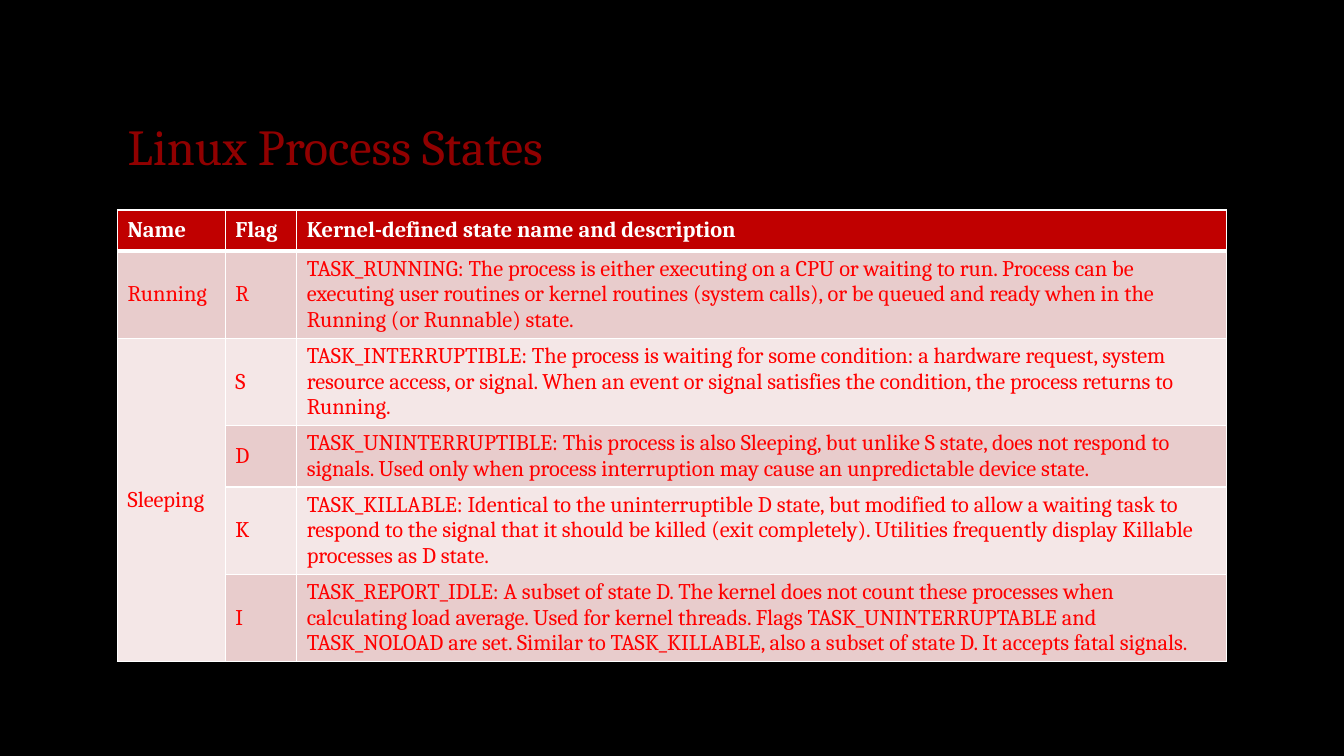
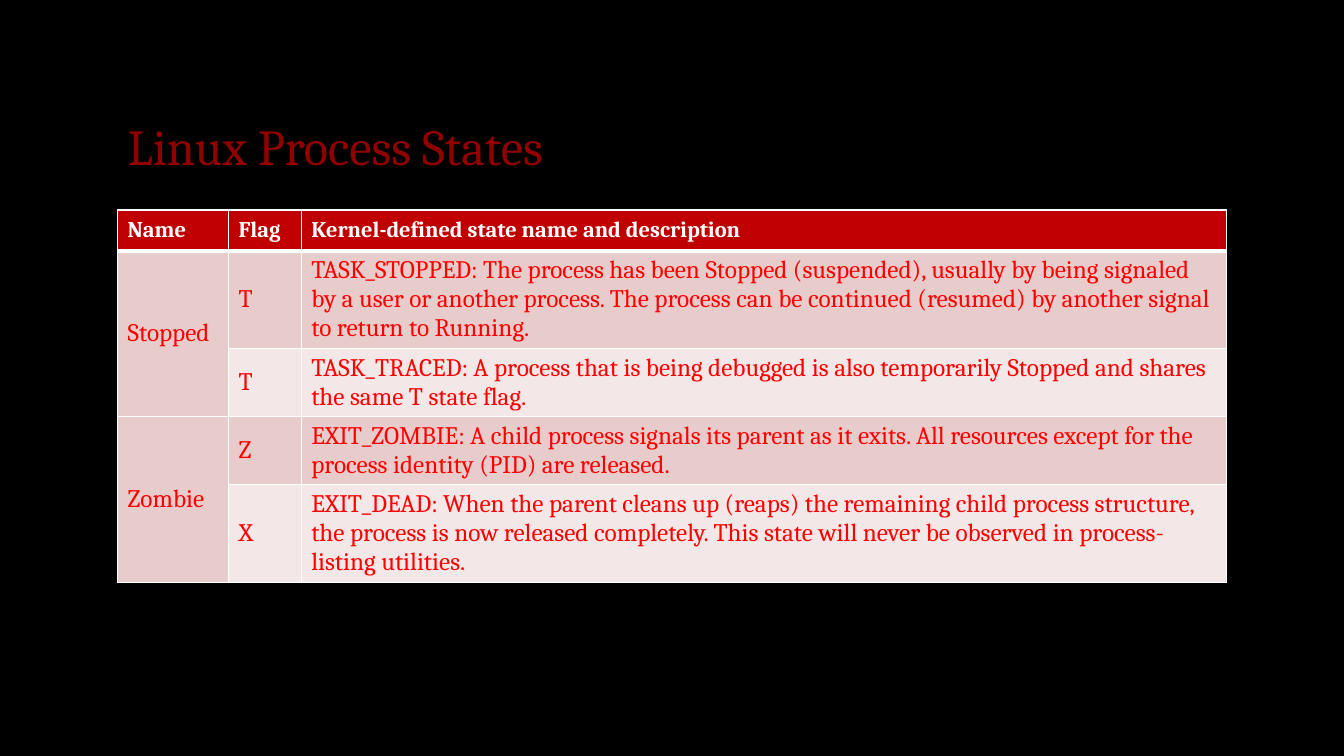
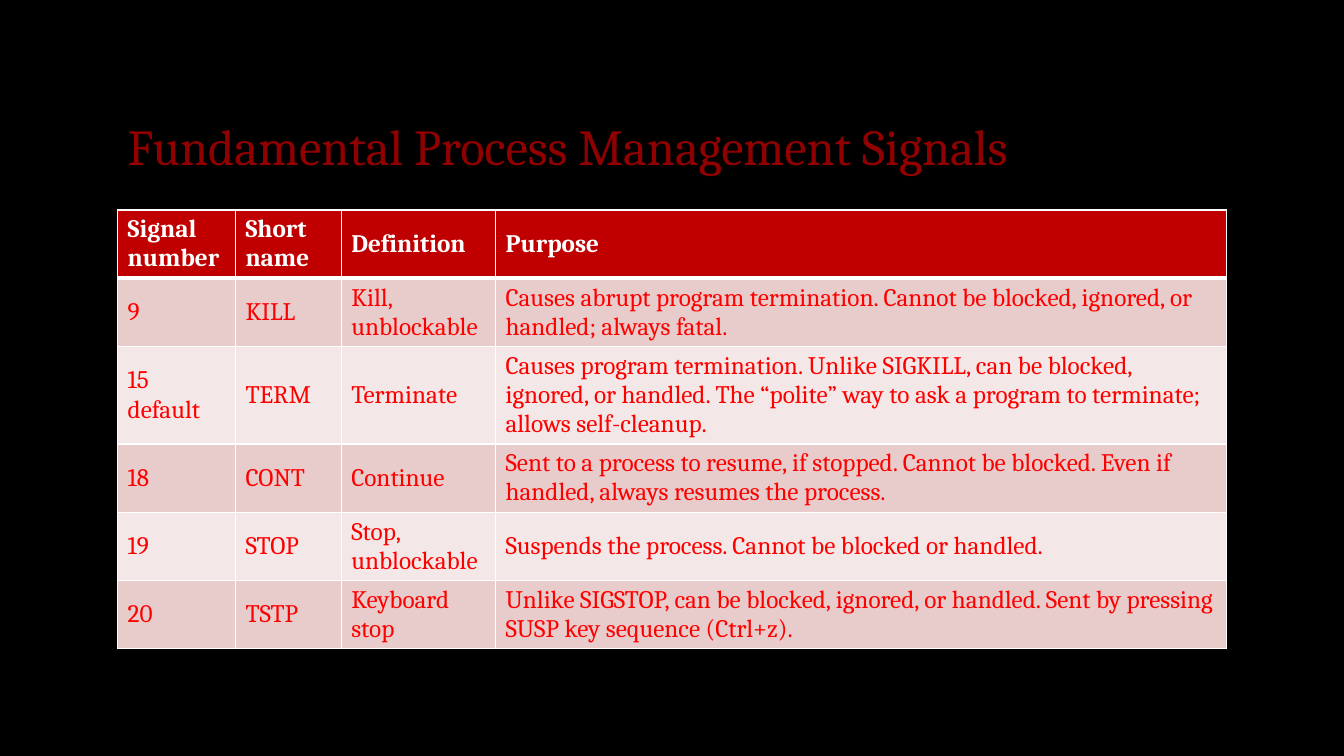
"""Build three slides of tables about Linux process states and signals."""
from dataclasses import dataclass
from typing import Any, Optional

from lxml.etree import SubElement
from pptx import Presentation
from pptx.dml.color import RGBColor
from pptx.enum.text import MSO_ANCHOR as Anchor, MSO_AUTO_SIZE as AutoSize, PP_ALIGN as Align
from pptx.oxml.ns import qn
from pptx.util import Pt

FONT = "Cambria"
BLACK, WHITE, RED = "000000", "FFFFFF", "FF0000"
TITLE_RED, HEADER_RED = "900000", "C00000"
BANDS = ("E8CCCC", "F4E7E7")
LEFT, WIDTH = 84, 792
TITLE_TOP, TITLE_HEIGHT = 36, 93.6
TABLE_TOP, ROW_HEIGHT = 150, 29.2
THIN, THICK = 1, 3
STATE_HEADER = ("Name", "Flag", "Kernel-defined state name and description")

Row = tuple[Optional[str], ...]


@dataclass(frozen=True)
class TablePage:
    """A titled table; None in a row continues the cell above."""

    title: str
    height: float
    columns: tuple[float, ...]
    header: Row
    rows: tuple[Row, ...]
    header_size: float = 18
    body_size: float = 18


PAGES = (
    TablePage(
        "Linux Process States", 353.5, (77, 51, 664), STATE_HEADER,
        (
            ("Running", "R", "TASK_RUNNING: The process is either executing on a CPU or waiting to run. "
             "Process can be executing user routines or kernel routines (system calls), or be queued "
             "and ready when in the Running (or Runnable) state."),
            ("Sleeping", "S", "TASK_INTERRUPTIBLE: The process is waiting for some condition: a hardware "
             "request, system resource access, or signal. When an event or signal satisfies the "
             "condition, the process returns to Running."),
            (None, "D", "TASK_UNINTERRUPTIBLE: This process is also Sleeping, but unlike S state, does not "
             "respond to signals. Used only when process interruption may cause an unpredictable "
             "device state."),
            (None, "K", "TASK_KILLABLE: Identical to the uninterruptible D state, but modified to allow a "
             "waiting task to respond to the signal that it should be killed (exit completely). "
             "Utilities frequently display Killable processes as D state."),
            (None, "I", "TASK_REPORT_IDLE: A subset of state D. The kernel does not count these processes "
             "when calculating load average. Used for kernel threads. Flags TASK_UNINTERRUPTABLE and "
             "TASK_NOLOAD are set. Similar to TASK_KILLABLE, also a subset of state D. It accepts "
             "fatal signals."),
        ),
        header_size=16, body_size=16,
    ),
    TablePage(
        "Linux Process States", 274.3, (79.2, 52, 660.8), STATE_HEADER,
        (
            ("Stopped", "T", "TASK_STOPPED: The process has been Stopped (suspended), usually by being "
             "signaled by a user or another process. The process can be continued (resumed) by "
             "another signal to return to Running."),
            (None, "T", "TASK_TRACED: A process that is being debugged is also temporarily Stopped and "
             "shares the same T state flag."),
            ("Zombie", "Z", "EXIT_ZOMBIE: A child process signals its parent as it exits. All resources "
             "except for the process identity (PID) are released."),
            (None, "X", "EXIT_DEAD: When the parent cleans up (reaps) the remaining child process "
             "structure, the process is now released completely. This state will never be observed "
             "in process-listing utilities."),
        ),
        header_size=16,
    ),
    TablePage(
        "Fundamental Process Management Signals", 324, (84.2, 75.6, 110.2, 522),
        ("Signal number", "Short name", "Definition", "Purpose"),
        (
            ("9", "KILL", "Kill, unblockable", "Causes abrupt program termination. Cannot be blocked, "
             "ignored, or handled; always fatal."),
            ("15 default", "TERM", "Terminate", "Causes program termination. Unlike SIGKILL, can be "
             "blocked, ignored, or handled. The “polite” way to ask a program to terminate; allows "
             "self-cleanup."),
            ("18", "CONT", "Continue", "Sent to a process to resume, if stopped. Cannot be blocked. Even "
             "if handled, always resumes the process."),
            ("19", "STOP", "Stop, unblockable", "Suspends the process. Cannot be blocked or handled."),
            ("20", "TSTP", "Keyboard stop", "Unlike SIGSTOP, can be blocked, ignored, or handled. Sent by "
             "pressing SUSP key sequence (Ctrl+z)."),
        ),
    ),
)


def colour(value: str) -> RGBColor:
    """Turn a hex string into a colour."""
    return RGBColor.from_string(value)


def apply(target: Any, values: dict[str, Any]) -> None:
    """Set each named attribute on the target."""
    for name, value in values.items():
        setattr(target, name, value)


def write(para: Any, text: str, size: float, ink: str, bold: bool = False) -> None:
    """Add one formatted run to a paragraph."""
    span = para.add_run()
    span.text = text
    apply(span.font, {"name": FONT, "size": Pt(size), "bold": bold})
    span.font.color.rgb = colour(ink)


def add_borders(cell: Any, top: float, bottom: float) -> None:
    """Draw white lines on the four sides of a cell."""
    properties = cell._tc.get_or_add_tcPr()
    for side, width in {"L": THIN, "R": THIN, "T": top, "B": bottom}.items():
        line = SubElement(properties, qn(f"a:ln{side}"), w=str(Pt(width)))
        SubElement(SubElement(line, qn("a:solidFill")), qn("a:srgbClr"), val=WHITE)


def add_title(page: Any, text: str) -> None:
    """Place and format the title of a page."""
    box = page.shapes.title
    apply(box, {"left": Pt(LEFT), "top": Pt(TITLE_TOP), "width": Pt(WIDTH), "height": Pt(TITLE_HEIGHT)})
    apply(box.text_frame, {"vertical_anchor": Anchor.BOTTOM, "word_wrap": True, "auto_size": AutoSize.NONE})
    para = box.text_frame.paragraphs[0]
    apply(para, {"alignment": Align.LEFT, "line_spacing": 0.9})
    write(para, text, 36, TITLE_RED)


def format_cell(cell: Any, text: Optional[str], row: int, size: float) -> None:
    """Give a cell its borders, fill and text according to its row."""
    is_header = row == 0
    add_borders(cell, THICK if row == 1 else THIN, THICK if is_header else THIN)
    cell.fill.solid()
    cell.fill.fore_color.rgb = colour(HEADER_RED if is_header else BANDS[(row - 1) % 2])
    cell.vertical_anchor = Anchor.MIDDLE
    if text is not None:
        write(cell.text_frame.paragraphs[0], text, size, WHITE if is_header else RED, is_header)


def add_table(page: Any, content: TablePage) -> None:
    """Draw the table of a page and join the continued cells."""
    rows = (content.header, *content.rows)
    frame = page.shapes.add_table(
        len(rows), len(content.columns), Pt(LEFT), Pt(TABLE_TOP), Pt(WIDTH), Pt(content.height)
    )
    table = frame.table
    for column, width in zip(table.columns, content.columns):
        column.width = Pt(width)
    for index, texts in enumerate(rows):
        table.rows[index].height = Pt(ROW_HEIGHT)
        size = content.body_size if index else content.header_size
        for position, text in enumerate(texts):
            format_cell(table.cell(index, position), text, index, size)
    for position in range(len(content.columns)):
        starts = [index for index, texts in enumerate(rows) if texts[position] is not None]
        for start, following in zip(starts, [*starts[1:], len(rows)]):
            if following - start > 1:
                table.cell(start, position).merge(table.cell(following - 1, position))
    frame.height = Pt(content.height)


def main() -> None:
    """Build and save the deck."""
    deck = Presentation()
    apply(deck, {"slide_width": Pt(960), "slide_height": Pt(540)})
    background = deck.slide_master.background.fill
    background.solid()
    background.fore_color.rgb = colour(BLACK)
    for content in PAGES:
        page = deck.slides.add_slide(deck.slide_layouts.get_by_name("Title Only"))
        add_title(page, content.title)
        add_table(page, content)
    deck.save("out.pptx")


if __name__ == "__main__":
    main()
